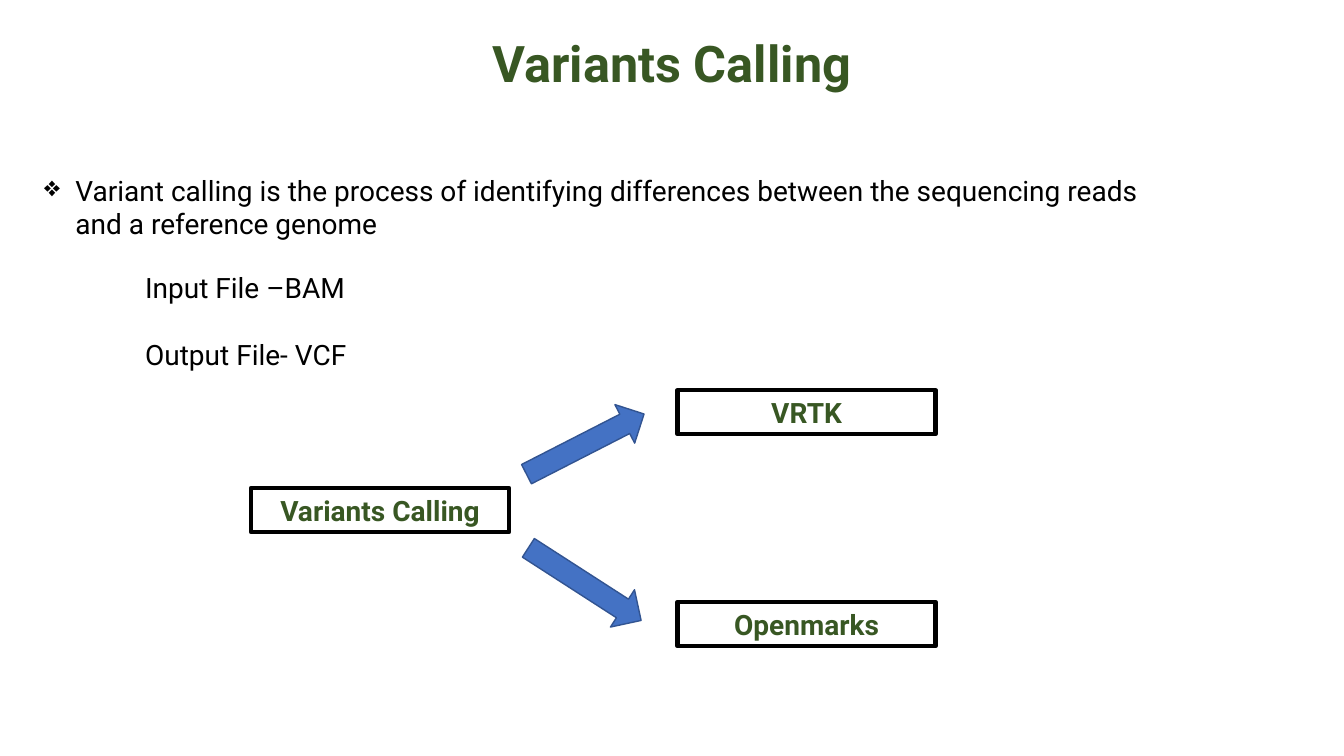
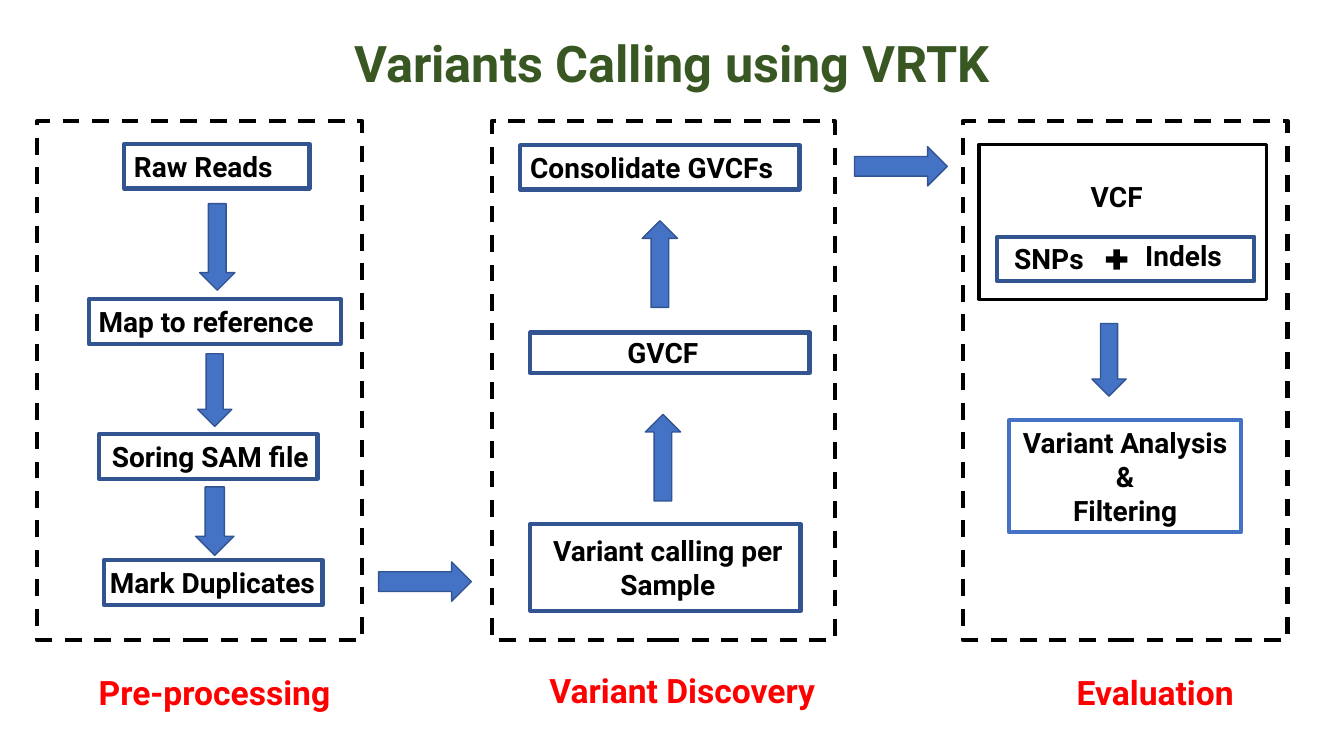
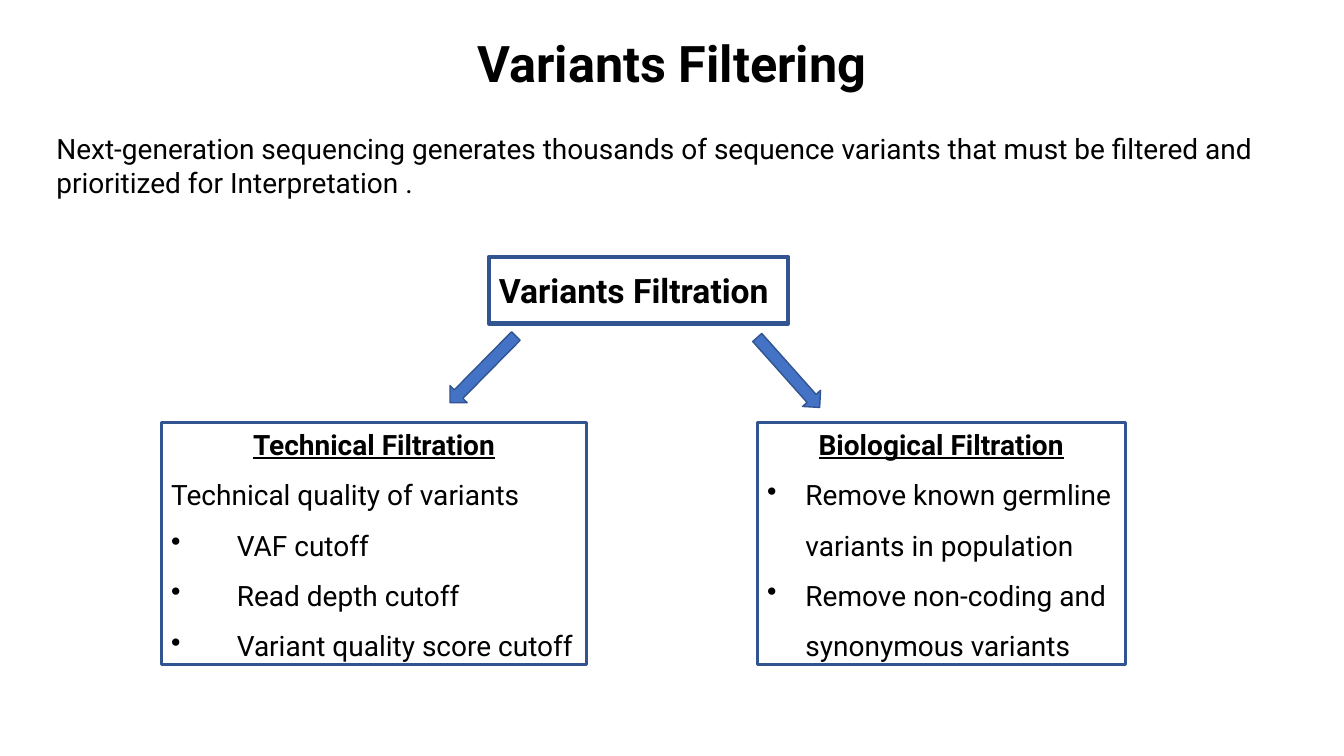
from dataclasses import dataclass

from lxml import etree
from pptx import Presentation
from pptx.dml.color import RGBColor
from pptx.enum.dml import MSO_LINE
from pptx.enum.shapes import MSO_SHAPE
from pptx.enum.text import MSO_ANCHOR, PP_ALIGN
from pptx.oxml.ns import qn
from pptx.util import Inches, Pt

RECT, DOWN_ARROW, PLUS = MSO_SHAPE.RECTANGLE, MSO_SHAPE.DOWN_ARROW, MSO_SHAPE.MATH_PLUS
LEFT, CENTER = PP_ALIGN.LEFT, PP_ALIGN.CENTER
TOP, MIDDLE = MSO_ANCHOR.TOP, MSO_ANCHOR.MIDDLE
DASH = MSO_LINE.DASH

BLACK = RGBColor(0x00, 0x00, 0x00)
GREEN = RGBColor(0x38, 0x57, 0x23)
RED = RGBColor(0xFF, 0x00, 0x00)
BLUE = RGBColor(0x44, 0x72, 0xC4)
NAVY = RGBColor(0x32, 0x54, 0x91)
FONT = "Roboto"
SLIDE_WIDTH, SLIDE_HEIGHT = 13.33, 7.5
TITLE_ONLY = 5
INSET = 0.1


@dataclass
class Para:
    """One paragraph with its look; indent and before are in inches and points."""

    text: str
    size: int = 20
    color: RGBColor = BLACK
    bold: bool = False
    underline: bool = False
    align: PP_ALIGN = LEFT
    bullet: str = ""
    indent: float = 0
    before: float = 0
    line_spacing: float = 1.0


def write(frame, paras, anchor=TOP, left=INSET, right=INSET):
    """Fill a text frame with paragraphs."""
    frame.word_wrap = True
    frame.vertical_anchor = anchor
    frame.margin_left, frame.margin_right = Inches(left), Inches(right)
    frame.margin_top = frame.margin_bottom = Inches(0.05)
    for index, para in enumerate(paras):
        paragraph = frame.add_paragraph() if index else frame.paragraphs[0]
        paragraph.text = para.text
        paragraph.alignment = para.align
        paragraph.line_spacing = para.line_spacing
        paragraph.space_before = Pt(para.before)
        properties = paragraph._p.get_or_add_pPr()
        properties.set("marL", str(Inches(para.indent)))
        if para.bullet:
            properties.set("indent", str(-Inches(para.indent)))
            etree.SubElement(properties, qn("a:buChar")).set("char", para.bullet)
        font = paragraph.font
        font.name, font.size = FONT, Pt(para.size)
        font.bold, font.underline = para.bold, para.underline
        font.color.rgb = para.color


def add_titled_slide(prs, text, color):
    """Add a title-only slide with its centred heading."""
    slide = prs.slides.add_slide(prs.slide_layouts[TITLE_ONLY])
    title = slide.shapes.title
    title.left, title.top = 0, Inches(0.27)
    title.width, title.height = Inches(SLIDE_WIDTH), Inches(0.71)
    write(title.text_frame, [Para(text, 36, color, bold=True, align=CENTER)])
    return slide


def add_text(slide, at, paras):
    """Add a wrapping text box at (left, top, width, height)."""
    write(slide.shapes.add_textbox(*map(Inches, at)).text_frame, paras)


def add_preset(slide, kind, at, fill=None, line=None, weight=1):
    """Add a flat preset shape with optional fill and outline."""
    shape = slide.shapes.add_shape(kind, *map(Inches, at))
    shape.shadow.inherit = False
    if fill is None:
        shape.fill.background()
    else:
        shape.fill.solid()
        shape.fill.fore_color.rgb = fill
    if line is None:
        shape.line.fill.background()
    else:
        shape.line.color.rgb = line
        shape.line.width = Pt(weight)
    return shape


def add_box(slide, at, paras=(), line=NAVY, weight=3, **layout):
    """Add an outlined box holding text."""
    box = add_preset(slide, RECT, at, line=line, weight=weight)
    write(box.text_frame, paras, **layout)


def add_arrow(slide, at, rotation=0):
    """Add a blue block arrow, pointing down before it is turned."""
    add_preset(slide, DOWN_ARROW, at, BLUE, NAVY).rotation = rotation


def build_overview(prs):
    """Slide on what variant calling is and its two tools."""
    slide = add_titled_slide(prs, "Variants Calling", GREEN)
    add_text(slide, (0.34, 1.67, 11.36, 2.09), [
        Para("Variant calling is the process of identifying differences between "
             "the sequencing reads and a reference genome", bullet="❖", indent=0.31),
        Para("Input File –BAM", indent=1, before=21.5),
        Para("Output File- VCF", indent=1, before=24),
    ])
    for name, left, top in (("Variants Calling", 2.49, 4.84),
                            ("VRTK", 6.72, 3.87), ("Openmarks", 6.72, 5.97)):
        label = Para(name, color=GREEN, bold=True, align=CENTER)
        add_box(slide, (left, top, 2.56, 0.44), [label], BLACK, anchor=MIDDLE)
    add_arrow(slide, (5.59, 3.75, 0.43, 1.31), 242.9)
    add_arrow(slide, (5.58, 5.13, 0.44, 1.33), 302.8)


def build_workflow(prs):
    """Slide with the three stages of the pipeline."""
    slide = add_titled_slide(prs, "Variants Calling using VRTK", GREEN)
    for left, width in ((0.37, 3.22), (4.88, 3.4), (9.55, 3.22)):
        stage = add_preset(slide, RECT, (left, 1.2, width, 5.15), line=BLACK, weight=3)
        stage.line.dash_style = DASH
    for name, at in (("Pre-processing", (0.88, 6.62, 2.61, 0.5)),
                     ("Variant Discovery", (5.35, 6.6, 2.92, 0.5)),
                     ("Evaluation", (10.58, 6.62, 1.85, 0.5))):
        add_text(slide, at, [Para(name, 24, RED, bold=True)])

    for name, at, inset in (("Raw Reads", (1.23, 1.43, 1.84, 0.44), INSET),
                            ("Map to reference", (0.88, 2.97, 2.5, 0.44), INSET),
                            ("Soring SAM file", (0.98, 4.31, 2.17, 0.44), 0.13),
                            ("Mark Duplicates", (1.03, 5.56, 2.17, 0.44), 0.06),
                            ("Consolidate GVCFs", (5.16, 1.44, 2.77, 0.44), INSET)):
        add_box(slide, at, [Para(name, bold=True)], anchor=MIDDLE, left=inset, right=0.02)
    for name, at, right in (("GVCF", (5.26, 3.3, 2.77, 0.4), 0.24),
                            ("Variant calling per Sample", (5.26, 5.2, 2.68, 0.86), 0.05)):
        add_box(slide, at, [Para(name, bold=True, align=CENTER)],
                anchor=MIDDLE, right=right)

    add_box(slide, (9.71, 1.43, 2.85, 1.54), line=BLACK, weight=2.25)
    add_box(slide, (9.89, 2.35, 2.55, 0.44))
    for name, at in (("VCF", (10.72, 1.73, 1, 0.44)),
                     ("SNPs", (9.96, 2.35, 1.11, 0.44)),
                     ("Indels", (11.26, 2.32, 1.39, 0.44))):
        add_text(slide, at, [Para(name, bold=True)])
    add_preset(slide, PLUS, (10.93, 2.44, 0.29, 0.27), BLACK)
    analysis = [Para(text, bold=True, align=CENTER)
                for text in ("Variant Analysis &", "Filtering")]
    add_box(slide, (10.01, 4.17, 2.3, 1.11), analysis, BLUE, anchor=MIDDLE)

    for at in ((1.98, 2.02, 0.35, 0.86), (1.96, 3.51, 0.34, 0.72),
               (1.94, 4.83, 0.38, 0.68), (10.83, 3.21, 0.34, 0.72)):
        add_arrow(slide, at)
    for left, top in ((6.4, 4.11), (6.37, 2.19)):
        add_arrow(slide, (left, top, 0.35, 0.86), 180)
    for left, top in ((4.02, 5.31), (8.74, 1.19)):
        add_arrow(slide, (left, top, 0.39, 0.92), 270)


def add_filter_box(slide, left, width, heading, intro, criteria, indent):
    """Add a box with an underlined heading and bulleted criteria."""
    paras = [Para(heading, bold=True, underline=True, align=CENTER)]
    paras += [Para(text, line_spacing=1.5) for text in intro]
    paras += [Para(text, bullet="•", indent=indent, line_spacing=1.5)
              for text in criteria]
    add_box(slide, (left, 4.19, width, 2.4), paras, weight=2.25)


def build_filtering(prs):
    """Slide on technical and biological filtration."""
    slide = add_titled_slide(prs, "Variants Filtering", BLACK)
    add_text(slide, (0.46, 1.26, 12.49, 0.77), [
        Para("Next-generation sequencing generates thousands of sequence variants "
             "that must be filtered and prioritized for Interpretation .")])
    add_box(slide, (4.85, 2.55, 2.97, 0.66),
            [Para("Variants Filtration", 24, bold=True)], anchor=MIDDLE)
    add_filter_box(slide, 1.6, 4.22, "Technical Filtration",
                   ["Technical quality of variants"],
                   ["VAF cutoff", "Read depth cutoff", "Variant quality score cutoff"],
                   0.65)
    add_filter_box(slide, 7.51, 3.65, "Biological Filtration", [],
                   ["Remove known germline variants in population",
                    "Remove non-coding and synonymous variants"], 0.38)
    add_arrow(slide, (4.67, 3.2, 0.24, 0.93), 44.6)
    add_arrow(slide, (7.7, 3.23, 0.24, 0.93), 318.3)


def main():
    """Build and save the presentation."""
    prs = Presentation()
    prs.slide_width, prs.slide_height = Inches(SLIDE_WIDTH), Inches(SLIDE_HEIGHT)
    build_overview(prs)
    build_workflow(prs)
    build_filtering(prs)
    prs.save("out.pptx")


if __name__ == "__main__":
    main()
